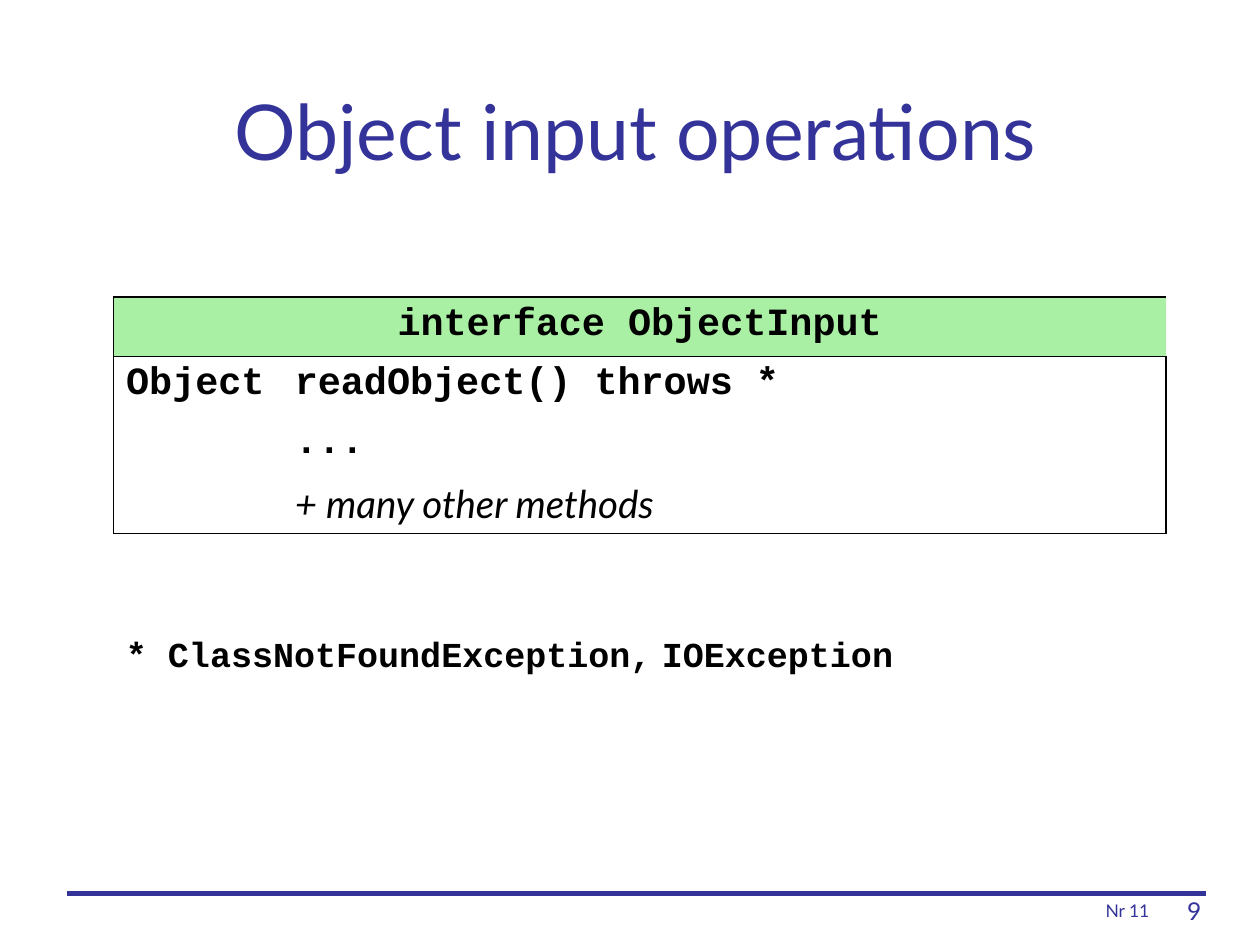
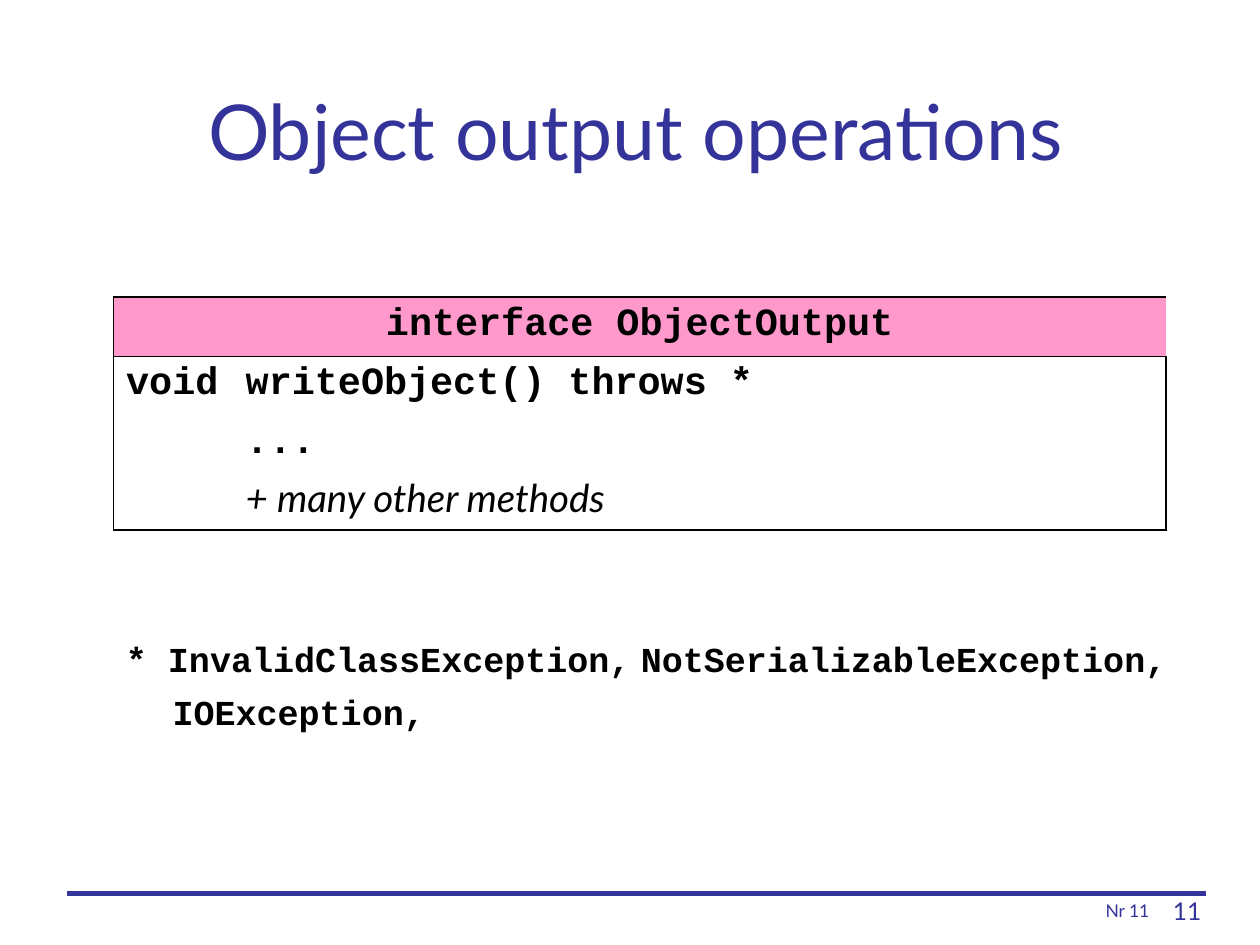
import pptx
import pptx.util
import pptx.dml.color
import pptx.enum.shapes
import pptx.enum.text
import pptx.oxml
import pptx.oxml.ns

Cm = pptx.util.Cm
Pt = pptx.util.Pt
ALIGN = pptx.enum.text.PP_ALIGN
ANCHOR = pptx.enum.text.MSO_ANCHOR
qn = pptx.oxml.ns.qn


def rgb(value):
    return pptx.dml.color.RGBColor.from_string(value)


class Deck:
    SANS, MONO, SPACER = "Lato", "Courier New", "Arial"
    NAVY, BLACK, WHITE = "333399", "000000", "FFFFFF"
    THICK, THIN = 1.08, 0.45
    LEFT = 2.29

    def __init__(self):
        self.prs = pptx.Presentation()
        self.prs.slide_width, self.prs.slide_height = Cm(25.4), Cm(19.05)
        self.s = None

    def add_slide(self, title, number):
        self.s = self.prs.slides.add_slide(self.prs.slide_layouts[6])
        self.line(1.35, 18.01, 24.31, 18.01)
        self.label(number, (23.06, 17.93, 1.41, 0.84), 14, ALIGN.RIGHT)
        self.label("Nr 11", (18.9, 17.93, 4.52, 0.76), 10, ALIGN.RIGHT, ANCHOR.BOTTOM)
        self.label(title, (1.3, 1.32, 23.04, 2.59), 44, ALIGN.CENTER, ANCHOR.MIDDLE)

    def run(self, p, text, size, font, color=BLACK, bold=False, italic=False):
        r = p.add_run()
        r.text = text
        r.font.size, r.font.name = Pt(size), font
        r.font.bold, r.font.italic = bold, italic
        r.font.color.rgb = rgb(color)

    def box(self, at, anchor=ANCHOR.TOP):
        tf = self.s.shapes.add_textbox(*map(Cm, at)).text_frame
        tf.word_wrap = True
        tf.vertical_anchor = anchor
        return tf.paragraphs[0]

    def label(self, text, at, size, align, anchor=ANCHOR.TOP):
        p = self.box(at, anchor)
        p.alignment = align
        self.run(p, text, size, self.SANS, self.NAVY)

    def line(self, x1, y1, x2, y2):
        c = self.s.shapes.add_connector(
            pptx.enum.shapes.MSO_CONNECTOR.STRAIGHT, Cm(x1), Cm(y1), Cm(x2), Cm(y2))
        c.line.color.rgb = rgb(self.NAVY)
        c.line.width = Pt(3)
        c._element.spPr.append(pptx.oxml.parse_xml(
            f'<a:effectLst {pptx.oxml.ns.nsdecls("a")}/>'))

    def border(self, cell, **widths):
        tcPr = cell._tc.get_or_add_tcPr()
        for i, side in enumerate("LRTB"):
            ln = tcPr.makeelement(qn(f"a:ln{side}"), {})
            width = widths.get(side, 0)
            if width:
                ln.set("w", str(Pt(width)))
                fill = ln.makeelement(qn("a:solidFill"), {})
                fill.append(fill.makeelement(qn("a:srgbClr"), {"val": self.BLACK}))
            else:
                fill = ln.makeelement(qn("a:noFill"), {})
            ln.append(fill)
            tcPr.insert(i, ln)

    def write_cell(self, cell, runs, align=ALIGN.LEFT):
        for i, (text, prose) in enumerate(runs):
            p = cell.text_frame.add_paragraph() if i else cell.text_frame.paragraphs[0]
            p.alignment = align
            if i:
                p.space_before = Pt(5.5)
            font = self.SANS if prose else self.MONO
            self.run(p, text, 22, font, bold=not prose, italic=prose)

    def interface(self, name, color, type_width, heights, members, bottom):
        width = 21.21
        table = self.s.shapes.add_table(
            len(heights), 2, Cm(self.LEFT), Cm(5.99), Cm(width), Cm(sum(heights))).table
        table.columns[0].width = Cm(type_width)
        table.columns[1].width = Cm(width - type_width)
        last = len(heights) - 1
        table.cell(0, 0).merge(table.cell(0, 1))
        self.write_cell(table.cell(0, 0), [(f"interface {name}", False)], ALIGN.CENTER)
        for i, (return_type, methods) in enumerate(members, 1):
            self.write_cell(table.cell(i, 0), return_type)
            self.write_cell(table.cell(i, 1), methods)
        for i, height in enumerate(heights):
            table.rows[i].height = Cm(height)
            for j, side in enumerate("LR"):
                cell = table.cell(i, j)
                cell.fill.solid()
                cell.fill.fore_color.rgb = rgb(self.WHITE if i else color)
                edges = {side: self.THICK}
                if i < 2:
                    edges["T"] = self.THIN if i else self.THICK
                if i in (0, last):
                    edges["B"] = bottom if i else self.THIN
                self.border(cell, **edges)

    def footnote(self, lines, at, spacing):
        p = self.box(at)
        p.line_spacing = Pt(spacing)
        pPr = p._p.get_or_add_pPr()
        pPr.set("marL", str(Cm(0.94)))
        pPr.set("indent", str(-Cm(0.94)))
        for i, names in enumerate(lines):
            if i:
                p.add_line_break()
            for j, name in enumerate(names):
                if j:
                    self.run(p, " ", 20, self.SPACER)
                self.run(p, name, 20, self.MONO, bold=True)


def main():
    deck = Deck()
    row = 1.19
    dots, more = ("...", False), ("+ many other methods", True)

    deck.add_slide("Object input operations", "9")
    deck.interface(
        "ObjectInput", "A9F0A4", 3.4, [row] * 4,
        [([("Object", False)], [("readObject() throws *", False)]),
         ([], [dots]), ([], [more])], Deck.THIN)
    deck.footnote([["* ClassNotFoundException,", "IOException"]],
                  (Deck.LEFT, 12.52, 21.41, 1.12), 27)

    deck.add_slide("Object output operations", "11")
    deck.interface(
        "ObjectOutput", "FF99CC", 2.41, [row, row, 2.31],
        [([("void", False)], [("writeObject() throws *", False)]),
         ([], [dots, more])], Deck.THICK)
    deck.footnote([["* InvalidClassException,", "NotSerializableException,"],
                   ["IOException,"]],
                  (Deck.LEFT, 12.52, 21.79, 2.29), 30)

    deck.prs.save("out.pptx")


if __name__ == "__main__":
    main()
